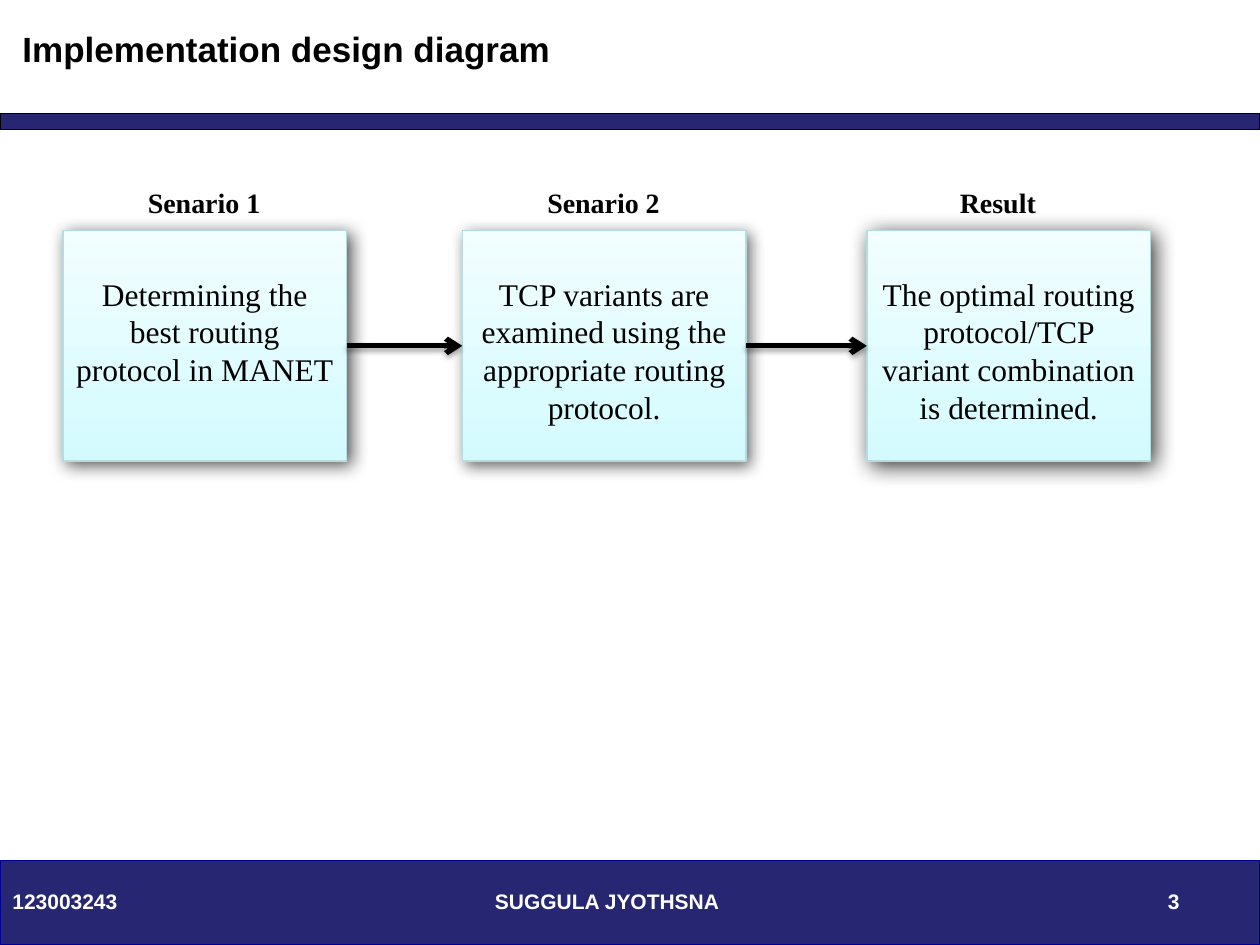
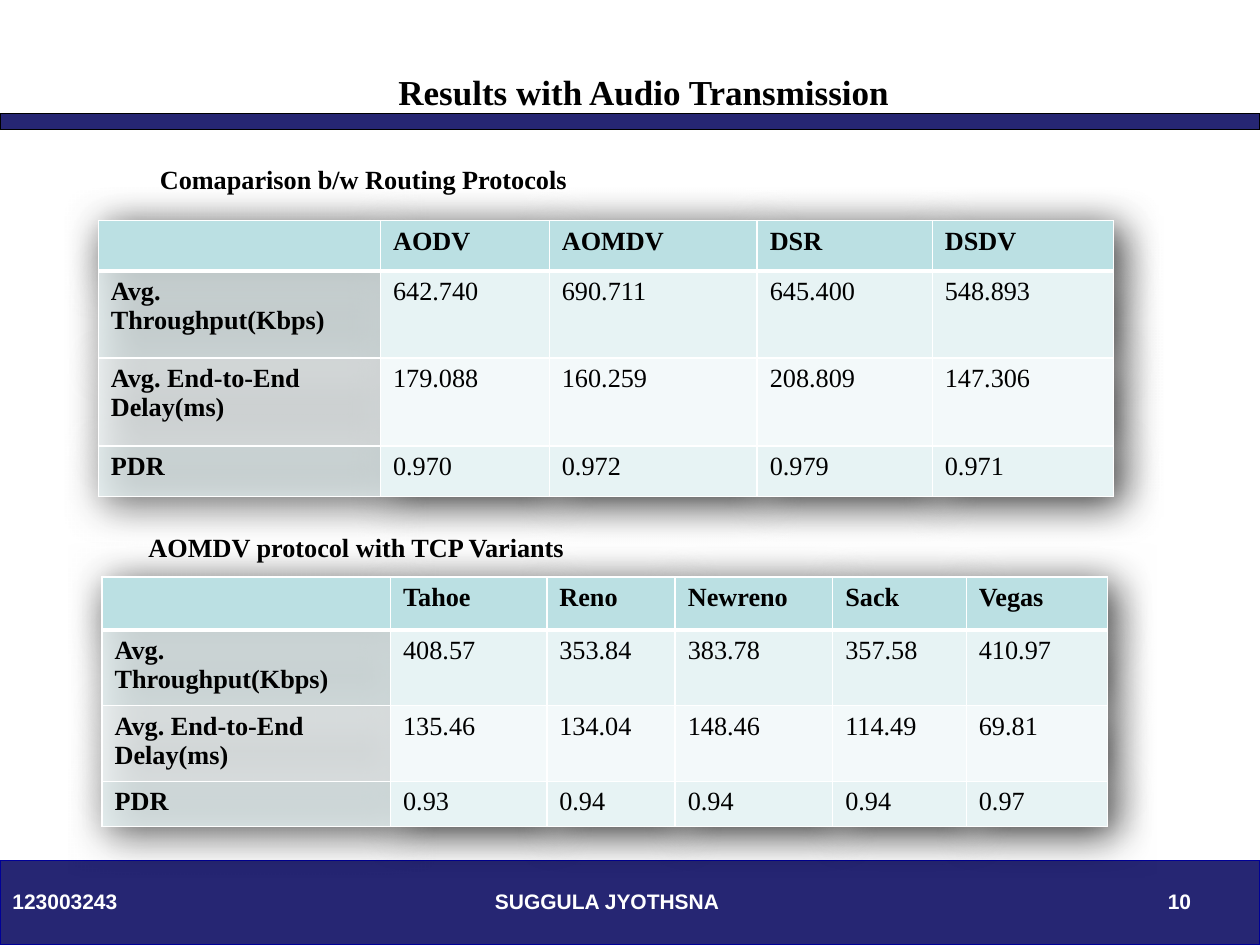
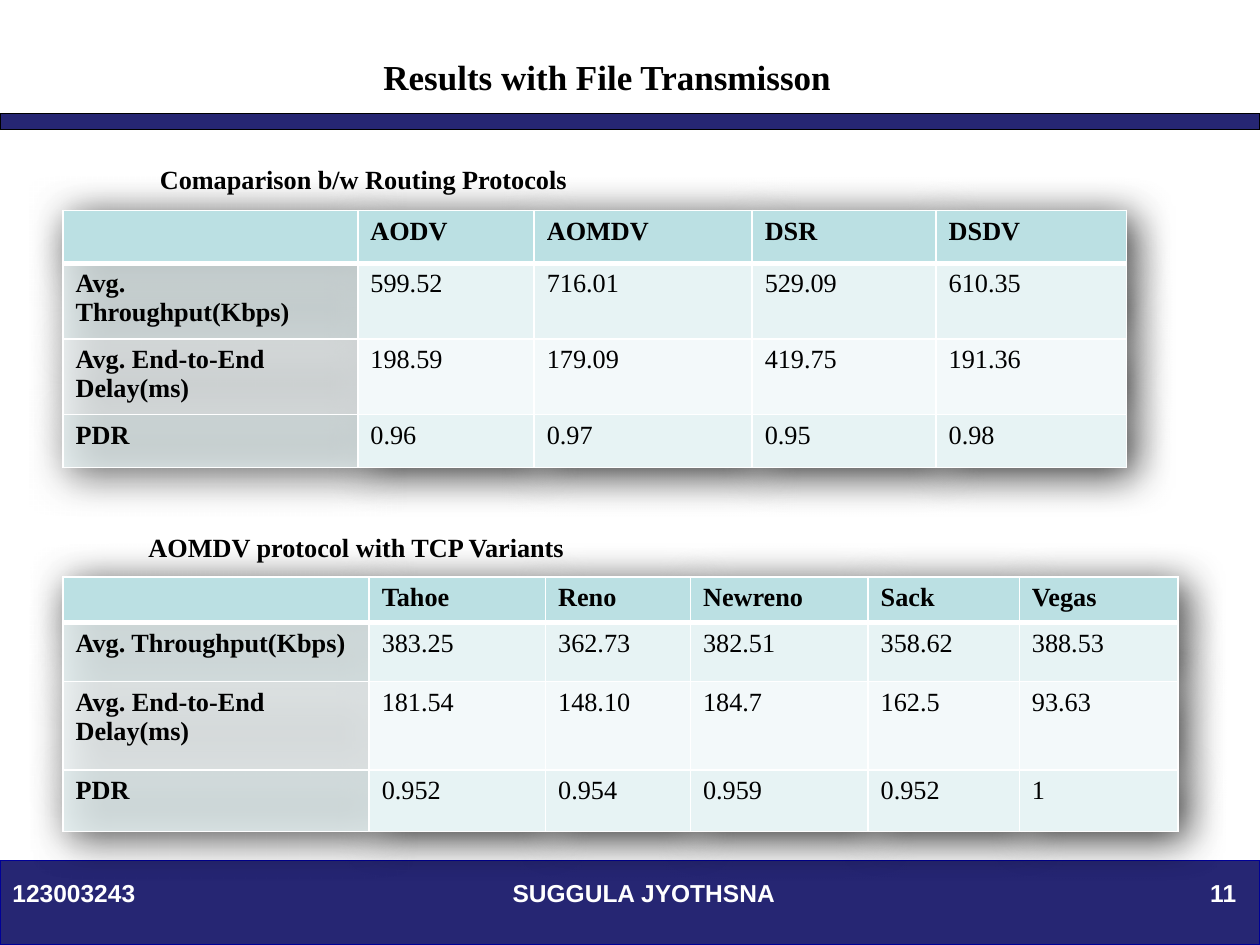
from dataclasses import dataclass

from lxml import etree
from pptx import Presentation
from pptx.dml.color import RGBColor
from pptx.enum import shapes, text
from pptx.oxml.ns import qn
from pptx.util import Inches, Pt

LEFT, CENTER, RIGHT = text.PP_ALIGN.LEFT, text.PP_ALIGN.CENTER, text.PP_ALIGN.RIGHT


@dataclass(frozen=True)
class Theme:
    sans: str = "Arial"
    serif: str = "Times New Roman"
    ink: str = "000000"
    paper: str = "FFFFFF"
    band: str = "262673"
    band_edge: str = "000097"
    stage_low: str = "D3FBFF"
    stage_high: str = "F2FEFF"
    stage_edge: str = "B6DCDF"
    header: str = "BBE0E3"
    odd_row: str = "E7F3F4"
    even_row: str = "F3F9FA"
    title_size: int = 20
    stage_size: int = 18
    label_size: int = 16
    table_size: int = 15
    footer_size: int = 12
    large_footer_size: int = 14


def rgb(color):
    return RGBColor.from_string(color)


def add_xml(parent, tag, **attributes):
    return etree.SubElement(parent, qn(tag), {k: str(v) for k, v in attributes.items()})


def add_shadow(effects, opacity, blur, distance, angle):
    """Add a black outer shadow; opacity in percent, blur and distance in points."""
    shadow = add_xml(effects, "a:outerShdw", blurRad=int(Pt(blur)), dist=int(Pt(distance)),
                     dir=angle * 60000, algn="tl", rotWithShape=0)
    color = add_xml(shadow, "a:srgbClr", val="000000")
    add_xml(color, "a:alpha", val=opacity * 1000)


class Deck:
    def __init__(self, theme):
        self.theme = theme
        self.presentation = Presentation()
        self.presentation.slide_width = Inches(10)
        self.presentation.slide_height = Inches(7.5)
        self.slide = None

    def new_slide(self):
        """Start a slide with the two bands that all slides share."""
        t = self.theme
        self.slide = self.presentation.slides.add_slide(self.presentation.slide_layouts[6])
        background = self.slide.background.fill
        background.solid()
        background.fore_color.rgb = rgb(t.paper)
        for top, height, edge in ((6.83, 0.67, t.band_edge), (0.9, 0.13, t.ink)):
            band = self.rectangle(0, top, 10, height, edge)
            band.fill.solid()
            band.fill.fore_color.rgb = rgb(t.band)

    def rectangle(self, left, top, width, height, edge):
        box = self.slide.shapes.add_shape(shapes.MSO_SHAPE.RECTANGLE, Inches(left),
                                          Inches(top), Inches(width), Inches(height))
        box.shadow.inherit = False
        box.line.color.rgb = rgb(edge)
        box.line.width = Pt(0.75)
        return box

    def add_words(self, frame, words, size, bold=True, align=LEFT, font=None, color=None):
        paragraph = frame.paragraphs[0]
        paragraph.alignment = align
        run = paragraph.add_run()
        run.text = words
        run.font.name = font or self.theme.serif
        run.font.size = Pt(size)
        run.font.bold = bold
        run.font.color.rgb = rgb(color or self.theme.ink)

    def text_box(self, words, left, top, width, height, size, **style):
        box = self.slide.shapes.add_textbox(Inches(left), Inches(top),
                                            Inches(width), Inches(height))
        box.text_frame.word_wrap = True
        self.add_words(box.text_frame, words, size, **style)

    def title(self, words, left, top, width=10, **style):
        self.text_box(words, left, top, width, 0.44, self.theme.title_size, **style)

    def footer(self, number):
        self.footer_line(number, 7, self.theme.footer_size, (3.83, 2.08), (9.17, 0.83), LEFT)

    def large_footer(self, number):
        self.footer_line(number, 6.92, self.theme.large_footer_size,
                         (3.92, 2.33), (7.58, 2.33), RIGHT)

    def footer_line(self, number, top, size, author_span, number_span, align):
        for words, (left, width), side in (("123003243", (0, 1.42), LEFT),
                                           ("SUGGULA JYOTHSNA", author_span, align),
                                           (number, number_span, align)):
            self.text_box(words, left, top, width, 0.33, size, align=side,
                          font=self.theme.sans, color=self.theme.paper)

    def stage(self, words, left, opacity, blur):
        t = self.theme
        box = self.rectangle(left, 1.83, 2.25, 1.83, t.stage_edge)
        box.fill.gradient()
        box.fill.gradient_angle = 90
        for stop, position, color in zip(box.fill.gradient_stops, (0, 1),
                                         (t.stage_low, t.stage_high)):
            stop.position = position
            stop.color.rgb = rgb(color)
        add_shadow(box.element.spPr.find(qn("a:effectLst")), opacity, blur, 3, 45)
        frame = box.text_frame
        frame.word_wrap = True
        frame.vertical_anchor = text.MSO_ANCHOR.TOP
        frame.margin_top = Inches(0.35)
        self.add_words(frame, words, t.stage_size, bold=False, align=CENTER)
        return box

    def arrow(self, source, target):
        link = self.slide.shapes.add_connector(shapes.MSO_CONNECTOR.STRAIGHT, 0, 0, 0, 0)
        link.begin_connect(source, 3)
        link.end_connect(target, 1)
        link.line.color.rgb = rgb(self.theme.ink)
        link.line.width = Pt(3)
        properties = link.element.spPr
        add_xml(properties.find(qn("a:ln")), "a:tailEnd", type="arrow")
        add_shadow(add_xml(properties, "a:effectLst"), 35, 3.1, 1.8, 90)

    def table(self, left, top, widths, heights, rows, label_opacity):
        t = self.theme
        frame = self.slide.shapes.add_table(len(rows), len(widths), Inches(left), Inches(top),
                                            Inches(sum(widths)), Inches(sum(heights)))
        grid = frame.table
        grid.horz_banding = False
        effects = etree.Element(qn("a:effectLst"))
        add_shadow(effects, 80, 24, 6, 45)
        frame.element.find(".//" + qn("a:tblPr")).insert(0, effects)
        for column, width in zip(grid.columns, widths):
            column.width = Inches(width)
        for r, (values, height) in enumerate(zip(rows, heights)):
            grid.rows[r].height = Inches(height)
            fill = t.header if r == 0 else (t.even_row, t.odd_row)[r % 2]
            for c, value in enumerate(values):
                opacity = label_opacity if r and c == 0 else 100
                self.cell(grid.cell(r, c), value, fill, opacity, r == 0 or c == 0,
                          top_edge=3 if r == 1 else 1, bottom_edge=3 if r == 0 else 1)

    def cell(self, cell, value, fill, opacity, bold, top_edge, bottom_edge):
        size = self.theme.table_size
        if value:
            self.add_words(cell.text_frame, value, size, bold=bold)
        else:
            add_xml(cell.text_frame.paragraphs[0]._p, "a:endParaRPr", sz=size * 100)
        cell.fill.solid()
        cell.fill.fore_color.rgb = rgb(fill)
        properties = cell._tc.tcPr
        if opacity < 100:
            add_xml(properties.find(".//" + qn("a:srgbClr")), "a:alpha", val=opacity * 1000)
        edges = (("a:lnL", 1), ("a:lnR", 1), ("a:lnT", top_edge), ("a:lnB", bottom_edge))
        for place, (tag, width) in enumerate(edges):
            edge = etree.Element(qn(tag), {"w": str(int(Pt(width)))})
            add_xml(add_xml(edge, "a:solidFill"), "a:srgbClr", val=self.theme.paper)
            properties.insert(place, edge)

    def results(self, routing, variants):
        """Place both captioned result tables; each argument holds its place and values."""
        for caption, caption_left, caption_top, protocols, part in (
                ("Comaparison b/w Routing Protocols", 1.17, 1.25, ROUTING, routing),
                ("AOMDV protocol with TCP Variants", 1.08, 4.17, VARIANTS, variants)):
            measures = [[name, *line.split()] for name, line in zip(MEASURES, part["values"])]
            self.table(part["left"], part["top"], part["widths"], part["heights"],
                       [["", *protocols], *measures], part["label_opacity"])
            self.text_box(caption, caption_left, caption_top, 4.01, 0.35,
                          self.theme.table_size)


MEASURES = ("Avg. Throughput(Kbps)", "Avg. End-to-End Delay(ms)", "PDR")
ROUTING = ("AODV", "AOMDV", "DSR", "DSDV")
VARIANTS = ("Tahoe", "Reno", "Newreno", "Sack", "Vegas")


def design_slide(deck):
    deck.new_slide()
    deck.title("Implementation design diagram", 0.08, 0.17, font=deck.theme.sans)
    deck.footer("3")
    stages = (
        ("Senario 1", 0.85, "Determining the best routing protocol in MANET", 0.5, 67, 10),
        ("Senario 2", 4.02, "TCP variants are examined using the appropriate routing protocol.",
         3.67, 60, 9),
        ("Result", 7.15, "The optimal routing protocol/TCP variant combination is determined.",
         6.88, 78, 13),
    )
    boxes = []
    for label, label_left, words, left, opacity, blur in stages:
        boxes.append(deck.stage(words, left, opacity, blur))
        deck.text_box(label, label_left, 1.42, 1.54, 0.37, deck.theme.label_size, align=CENTER)
    for source, target in zip(boxes, boxes[1:]):
        deck.arrow(source, target)


def audio_slide(deck):
    deck.new_slide()
    deck.title("Results with Audio Transmission", 0.11, 0.51, align=CENTER)
    deck.footer("10")
    deck.results(
        dict(left=0.78, top=1.75, widths=(2.24, 1.34, 1.65, 1.39, 1.44),
             heights=(0.4, 0.69, 0.7, 0.4), label_opacity=72,
             values=("642.740 690.711 645.400 548.893",
                     "179.088 160.259 208.809 147.306",
                     "0.970 0.972 0.979 0.971")),
        dict(left=0.81, top=4.58, widths=(2.29, 1.24, 1.02, 1.25, 1.06, 1.12),
             heights=(0.42, 0.56, 0.56, 0.36), label_opacity=78,
             values=("408.57 353.84 383.78 357.58 410.97",
                     "135.46 134.04 148.46 114.49 69.81",
                     "0.93 0.94 0.94 0.94 0.97")))


def file_slide(deck):
    deck.new_slide()
    deck.title("Results with File Transmisson", 1.02, 0.39, 7.6, align=CENTER)
    deck.large_footer("11")
    deck.results(
        dict(left=0.5, top=1.67, widths=(2.34, 1.4, 1.73, 1.46, 1.51),
             heights=(0.42, 0.56, 0.56, 0.42), label_opacity=72,
             values=("599.52 716.01 529.09 610.35",
                     "198.59 179.09 419.75 191.36",
                     "0.96 0.97 0.95 0.98")),
        dict(left=0.5, top=4.58, widths=(2.43, 1.4, 1.15, 1.41, 1.2, 1.26),
             heights=(0.36, 0.47, 0.7, 0.49), label_opacity=81,
             values=("383.25 362.73 382.51 358.62 388.53",
                     "181.54 148.10 184.7 162.5 93.63",
                     "0.952 0.954 0.959 0.952 1")))


def main():
    deck = Deck(Theme())
    design_slide(deck)
    audio_slide(deck)
    file_slide(deck)
    deck.presentation.save("out.pptx")


if __name__ == "__main__":
    main()
